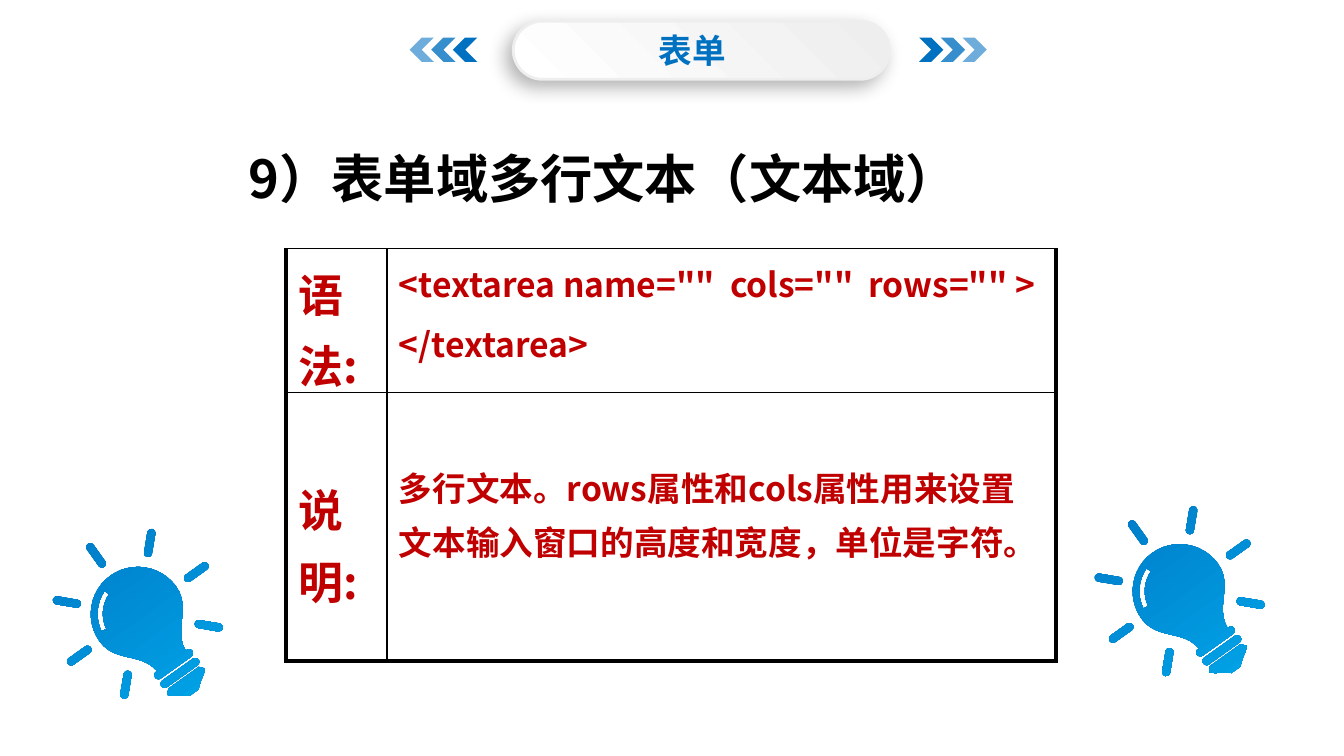
import math

import pptx
import pptx.dml.color
import pptx.enum.shapes
import pptx.enum.text
import pptx.oxml
import pptx.oxml.ns
import pptx.util
from pptx.util import Cm, Pt

COLORS = {
    "blue": "0070C0",
    "sky": "00B0F0",
    "red": "C00000",
    "black": "000000",
    "silver": "EEEEEE",
    "white": "FFFFFF",
}
CJK_FONT = "Noto Sans CJK SC"
HEADER_FONT = "Roboto Condensed"
THIN, THICK = 1, 2.25
BULB_CENTER = 640


def rgb(name):
    return pptx.dml.color.RGBColor.from_string(COLORS[name])


def element(xml):
    """Parse a snippet whose first tag lives in the drawing namespace."""
    tag_end = min(xml.index(mark) for mark in " />" if mark in xml)
    namespace = pptx.oxml.ns.nsdecls("a")
    return pptx.oxml.parse_xml(f"{xml[:tag_end]} {namespace}{xml[tag_end:]}")


def add_run(paragraph, text, size, color, font=CJK_FONT):
    run = paragraph.add_run()
    run.text = text
    run.font.size = Pt(size)
    run.font.bold = True
    run.font.name = font
    run.font.color.rgb = rgb(color)
    run._r.get_or_add_rPr().append(element(f'<a:ea typeface="{CJK_FONT}"/>'))


def fill_gradient(shape, start, end, angle):
    shape.fill.gradient()
    shape.fill.gradient_angle = (360 - angle) % 360
    for stop, color in zip(shape.fill.gradient_stops, (start, end)):
        stop.color.rgb = rgb(color)


# Header pill and arrows
def add_header(slide):
    pill = slide.shapes.add_shape(
        pptx.enum.shapes.MSO_SHAPE.ROUNDED_RECTANGLE,
        Cm(9.7), Cm(0.4), Cm(7.11), Cm(1.1))
    pill.adjustments[0] = 0.5
    fill_gradient(pill, "silver", "white", 135)
    pill.line.color.rgb = rgb("silver")
    pill.line.width = Pt(1.5)
    pill.shadow.inherit = False
    effects = pill._element.spPr.find(pptx.oxml.ns.qn("a:effectLst"))
    effects.append(element(
        f'<a:outerShdw blurRad="{Pt(10)}" dist="{Pt(5)}" dir="8100000" '
        f'algn="tr" rotWithShape="0"><a:srgbClr val="{COLORS["black"]}">'
        '<a:alpha val="30000"/></a:srgbClr></a:outerShdw>'))

    label = slide.shapes.add_textbox(Cm(9.7), Cm(0.48), Cm(6.76), Cm(0.91))
    frame = label.text_frame
    frame.word_wrap = True
    frame.margin_left = frame.margin_right = Cm(0.15)
    frame.margin_top = frame.margin_bottom = Cm(0.08)
    paragraph = frame.paragraphs[0]
    paragraph.alignment = pptx.enum.text.PP_ALIGN.CENTER
    add_run(paragraph, "表单", 18, "blue", HEADER_FONT)


def add_chevrons(slide, first_left, step, rotation):
    """Three chevrons that fade as they move away from the pill."""
    group = slide.shapes.add_group_shape()
    for index, opacity in enumerate((100, 79, 57)):
        chevron = group.shapes.add_shape(
            pptx.enum.shapes.MSO_SHAPE.CHEVRON,
            Cm(first_left + index * step), Cm(0.71), Cm(0.46), Cm(0.46))
        chevron.rotation = rotation
        chevron.shadow.inherit = False
        chevron.fill.solid()
        chevron.fill.fore_color.rgb = rgb("blue")
        chevron.line.fill.background()
        if opacity < 100:
            color = chevron._element.spPr.find(".//" + pptx.oxml.ns.qn("a:srgbClr"))
            color.append(element(f'<a:alpha val="{opacity * 1000}"/>'))


# Light bulb outlines, drawn upright on a grid 1280 wide and 1360 high
def arc(x, y, radius, start, end, steps=8):
    angles = [math.radians(start + (end - start) * i / steps) for i in range(steps + 1)]
    return [(x + radius * math.cos(a), y + radius * math.sin(a)) for a in angles]


def bar(x1, y1, x2, y2, radius=30):
    """A bar with round ends."""
    angle = math.degrees(math.atan2(y2 - y1, x2 - x1))
    return (arc(x2, y2, radius, angle - 90, angle + 90)
            + arc(x1, y1, radius, angle + 90, angle + 270))


def curve(p0, p1, p2, p3, steps=12):
    return [tuple((1 - t) ** 3 * a + 3 * (1 - t) ** 2 * t * b
                  + 3 * (1 - t) * t ** 2 * c + t ** 3 * d
                  for a, b, c, d in zip(p0, p1, p2, p3))
            for t in (i / steps for i in range(steps + 1))]


def mirror(points):
    return [(2 * BULB_CENTER - x, y) for x, y in reversed(points)]


def bulb_outlines():
    center = BULB_CENTER
    rays = []
    for angle in range(0, 360, 45):
        if angle != 90:
            x, y = math.cos(math.radians(angle)), math.sin(math.radians(angle))
            rays.append(bar(center + 460 * x, center + 460 * y,
                            center + 610 * x, center + 610 * y))
    side = curve((990, 640), (990, 840), (790, 880), (770, 1070))
    side += arc(780, 1100, 30, -90, 90)
    glass = arc(center, center, 350, 180, 360, 24) + side + mirror(side)
    shine = arc(center, center, 300, 190, 250) + arc(center, center, 260, 250, 190)
    collar = bar(500, 1180, 780, 1180)
    foot = [(780, 1225), (810, 1260), (780, 1290), (730, 1320), (680, 1360)]
    return rays + [glass, shine, collar, foot + mirror(foot)]


def add_bulb(slide, left, top):
    outlines = bulb_outlines()
    builder = slide.shapes.build_freeform(*outlines[0][0], scale=Cm(3.25) / 1280)
    for index, outline in enumerate(outlines):
        if index:
            builder.move_to(*outline[0])
        builder.add_line_segments(outline[1:], close=True)
    bulb = builder.convert_to_shape(Cm(left), Cm(top))
    bulb.rotation = 324.5
    bulb.shadow.inherit = False
    fill_gradient(bulb, "blue", "sky", 90)
    bulb.line.fill.background()


# Heading
def add_heading(slide, text):
    title = slide.shapes.title
    title.left, title.top, title.width, title.height = Cm(4.01), Cm(2.64), Cm(16.74), Cm(1.45)
    frame = title.text_frame
    frame.auto_size = pptx.enum.text.MSO_AUTO_SIZE.NONE
    frame.vertical_anchor = pptx.enum.text.MSO_ANCHOR.TOP
    frame.margin_left = Cm(0.69)
    paragraph = frame.paragraphs[0]
    paragraph.alignment = pptx.enum.text.PP_ALIGN.LEFT
    add_run(paragraph, text, 28, "black")


# Table
def set_borders(cell, **widths):
    properties = cell._tc.get_or_add_tcPr()
    for index, (side, width) in enumerate(widths.items()):
        properties.insert(index, element(
            f'<a:ln{side} w="{Pt(width)}"><a:solidFill>'
            f'<a:srgbClr val="{COLORS["black"]}"/></a:solidFill></a:ln{side}>'))


def fill_cell(cell, lines, size, margin_top):
    cell.fill.background()
    cell.margin_left = cell.margin_right = Cm(0.23)
    cell.margin_top, cell.margin_bottom = Cm(margin_top), Cm(0.1)
    frame = cell.text_frame
    for index, line in enumerate(lines):
        paragraph = frame.add_paragraph() if index else frame.paragraphs[0]
        paragraph.line_spacing = 1.1
        paragraph.space_before = Pt(size * 0.2)
        add_run(paragraph, line, size, "red")


def add_syntax_table(slide):
    rows = [
        (["语法:"], ['<textarea name=""  cols=""  rows="" >', "</textarea>"]),
        (["说明:"], ["多行文本。rows属性和cols属性用来设置文本输入窗口的高度和宽度，单位是字符。"]),
    ]
    top_margins = [(0.1, 0.1), (1.45, 1.24)]
    table = slide.shapes.add_table(2, 2, Cm(5.41), Cm(4.7), Cm(14.55), Cm(7.8)).table
    table.first_row = table.horz_banding = False
    for column, width in zip(table.columns, (1.9, 12.65)):
        column.width = Cm(width)
    for row, height in zip(table.rows, (2.72, 5.08)):
        row.height = Cm(height)
    for r, row in enumerate(rows):
        for c, (lines, size) in enumerate(zip(row, (24, 18))):
            cell = table.cell(r, c)
            fill_cell(cell, lines, size, top_margins[r][c])
            set_borders(cell, L=THIN if c else THICK, R=THICK if c else THIN,
                        T=THIN, B=THICK if r else THIN)


def main():
    presentation = pptx.Presentation()
    presentation.slide_width, presentation.slide_height = Cm(25.4), Cm(14.29)
    slide = presentation.slides.add_slide(presentation.slide_layouts[5])
    add_header(slide)
    add_chevrons(slide, 17.37, 0.41, 0)
    add_chevrons(slide, 8.56, -0.41, 180)
    add_bulb(slide, 1.04, 9.96)
    add_bulb(slide, 20.73, 9.53)
    add_heading(slide, "9）表单域多行文本（文本域）")
    add_syntax_table(slide)
    presentation.save("out.pptx")


if __name__ == "__main__":
    main()
